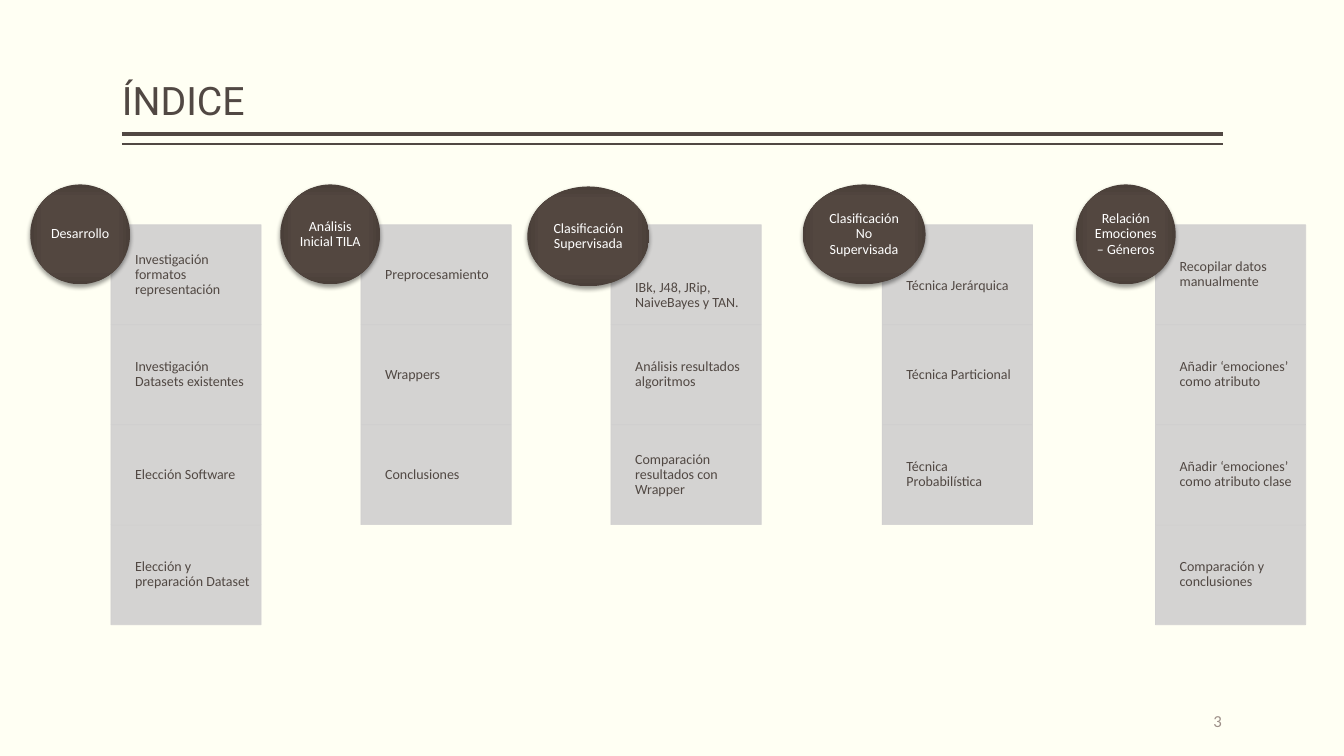
from lxml import etree
from pptx import Presentation
from pptx.dml.color import RGBColor
from pptx.enum.shapes import MSO_CONNECTOR, MSO_SHAPE
from pptx.enum.text import MSO_ANCHOR, PP_ALIGN
from pptx.oxml import parse_xml
from pptx.oxml.ns import nsdecls, qn
from pptx.util import Inches, Pt

LEFT, CENTER, RIGHT = PP_ALIGN.LEFT, PP_ALIGN.CENTER, PP_ALIGN.RIGHT
MIDDLE, BOTTOM = MSO_ANCHOR.MIDDLE, MSO_ANCHOR.BOTTOM
RECTANGLE, OVAL = MSO_SHAPE.RECTANGLE, MSO_SHAPE.OVAL
STRAIGHT = MSO_CONNECTOR.STRAIGHT
TITLE_ONLY = 5

COLORS = {
    "background": "FFFFF3",
    "brown": "514843",
    "cell": "D0CFCF",
    "white": "FFFFFF",
    "number": "9D8F88",
}
TOPIC_GRADIENT = [(0, "544740"), (71, "534740"), (100, "4A3F39")]

CELL_WIDTH, CELL_HEIGHT = 1.49, 0.99
CELLS_TOP, CELLS_BOTTOM = 2.23, 6.2
CELL_PITCH = (CELLS_BOTTOM - CELLS_TOP) / 4
TOPIC_HEIGHT = 0.99

SECTIONS = [
    {"topic": "Desarrollo", "left": 1.1, "topic_box": (0.3, 1.83, 0.99),
     "steps": ["Investigación formatos representación",
               "Investigación Datasets existentes",
               "Elección Software",
               "Elección y preparación Dataset"]},
    {"topic": "Análisis Inicial TILA", "left": 3.58, "topic_box": (2.78, 1.83, 0.99),
     "steps": ["Preprocesamiento", "Wrappers", "Conclusiones"]},
    {"topic": "Clasificación Supervisada", "left": 6.06, "topic_box": (5.23, 1.85, 1.21),
     "first_drop": 0.41,
     "steps": ["IBk, J48, JRip, NaiveBayes y TAN.",
               "Análisis resultados algoritmos",
               "Comparación resultados con Wrapper"]},
    {"topic": "Clasificación No Supervisada", "left": 8.75, "topic_box": (7.96, 1.83, 1.22),
     "first_drop": 0.22,
     "steps": ["Técnica Jerárquica", "Técnica Particional", "Técnica Probabilística"]},
    {"topic": "Relación Emociones – Géneros", "left": 11.46, "topic_box": (10.67, 1.83, 0.99),
     "steps": ["Recopilar datos manualmente",
               "Añadir ‘emociones’ como atributo",
               "Añadir ‘emociones’ como atributo clase",
               "Comparación y conclusiones"]},
]


def rgb(name):
    return RGBColor.from_string(COLORS[name])


def write(shape, text, size=10, font="Calibri", color="brown", align=LEFT,
          anchor=MIDDLE, insets=(0, 0, 0, 0), spacing=0.9):
    frame = shape.text_frame
    frame.word_wrap = True
    frame.vertical_anchor = anchor
    (frame.margin_left, frame.margin_top,
     frame.margin_right, frame.margin_bottom) = map(Inches, insets)
    paragraph = frame.paragraphs[0]
    paragraph.alignment = align
    paragraph.line_spacing = spacing
    run = paragraph.add_run()
    run.text = text
    run.font.size = Pt(size)
    run.font.name = font
    run.font.color.rgb = rgb(color)


def set_alpha(paint, percent):
    color = paint.find(".//" + qn("a:srgbClr"))
    etree.SubElement(color, qn("a:alpha")).set("val", str(percent * 1000))


def add_heading(slide, left, top, width, height):
    title = slide.shapes.title
    title.left, title.top, title.width, title.height = map(
        Inches, (left, top, width, height))
    write(title, "ÍNDICE", size=28, font="Roboto", anchor=BOTTOM,
          insets=(0, 0.05, 0, 0.05))
    for gap, weight in ((0.05, 3), (0.15, 1)):
        y = Inches(top + height + gap)
        rule = slide.shapes.add_connector(
            STRAIGHT, Inches(left), y, Inches(left + width), y)
        rule.line.color.rgb = rgb("brown")
        rule.line.width = Pt(weight)
        etree.SubElement(rule._element.spPr, qn("a:effectLst"))


def add_step(slide, text, left, top, drop=0):
    step = slide.shapes.add_shape(RECTANGLE, *map(
        Inches, (left, top, CELL_WIDTH, CELL_HEIGHT)))
    step.shadow.inherit = False
    step.fill.solid()
    step.fill.fore_color.rgb = rgb("cell")
    step.line.color.rgb = rgb("cell")
    step.line.width = Pt(0.5)
    properties = step._element.spPr
    set_alpha(properties.find(qn("a:solidFill")), 90)
    set_alpha(properties.find(qn("a:ln")), 90)
    write(step, text, insets=(0.24, 0.08 + drop, 0.08, 0.08))


def add_topic(slide, text, left, top, width):
    topic = slide.shapes.add_shape(OVAL, *map(
        Inches, (left, top, width, TOPIC_HEIGHT)))
    topic.shadow.inherit = False
    topic.line.fill.background()
    stops = "".join(
        f'<a:gs pos="{position * 1000}"><a:srgbClr val="{color}"/></a:gs>'
        for position, color in TOPIC_GRADIENT)
    properties = topic._element.spPr
    properties.insert(2, parse_xml(
        f'<a:gradFill {nsdecls("a")} rotWithShape="1"><a:gsLst>{stops}</a:gsLst>'
        '<a:path path="rect"><a:fillToRect l="50000" t="50000" r="50000" b="50000"/>'
        '</a:path></a:gradFill>'))
    properties.find(qn("a:effectLst")).append(parse_xml(
        f'<a:outerShdw {nsdecls("a")} blurRad="{Pt(3.1)}" dist="{Pt(2)}" '
        'dir="5400000" rotWithShape="0"><a:srgbClr val="000000">'
        '<a:alpha val="38000"/></a:srgbClr></a:outerShdw>'))
    write(topic, text, color="white", align=CENTER)


def add_section(slide, section):
    for row, text in enumerate(section["steps"]):
        drop = section.get("first_drop", 0) if row == 0 else 0
        add_step(slide, text, section["left"], CELLS_TOP + row * CELL_PITCH, drop)
    add_topic(slide, section["topic"], *section["topic_box"])


def add_page_number(slide, left, top, width, height):
    number = slide.shapes.add_textbox(*map(Inches, (left, top, width, height)))
    write(number, "3", size=12, color="number", align=RIGHT,
          insets=(0, 0.05, 0, 0.05), spacing=1.0)


def main():
    presentation = Presentation()
    presentation.slide_width = Inches(13.33)
    presentation.slide_height = Inches(7.5)
    slide = presentation.slides.add_slide(presentation.slide_layouts[TITLE_ONLY])
    slide.background.fill.solid()
    slide.background.fill.fore_color.rgb = rgb("background")
    add_heading(slide, 1.21, 0.08, 10.92, 1.2)
    for section in SECTIONS:
        add_section(slide, section)
    add_page_number(slide, 10.12, 6.95, 2, 0.4)
    presentation.save("out.pptx")


if __name__ == "__main__":
    main()
